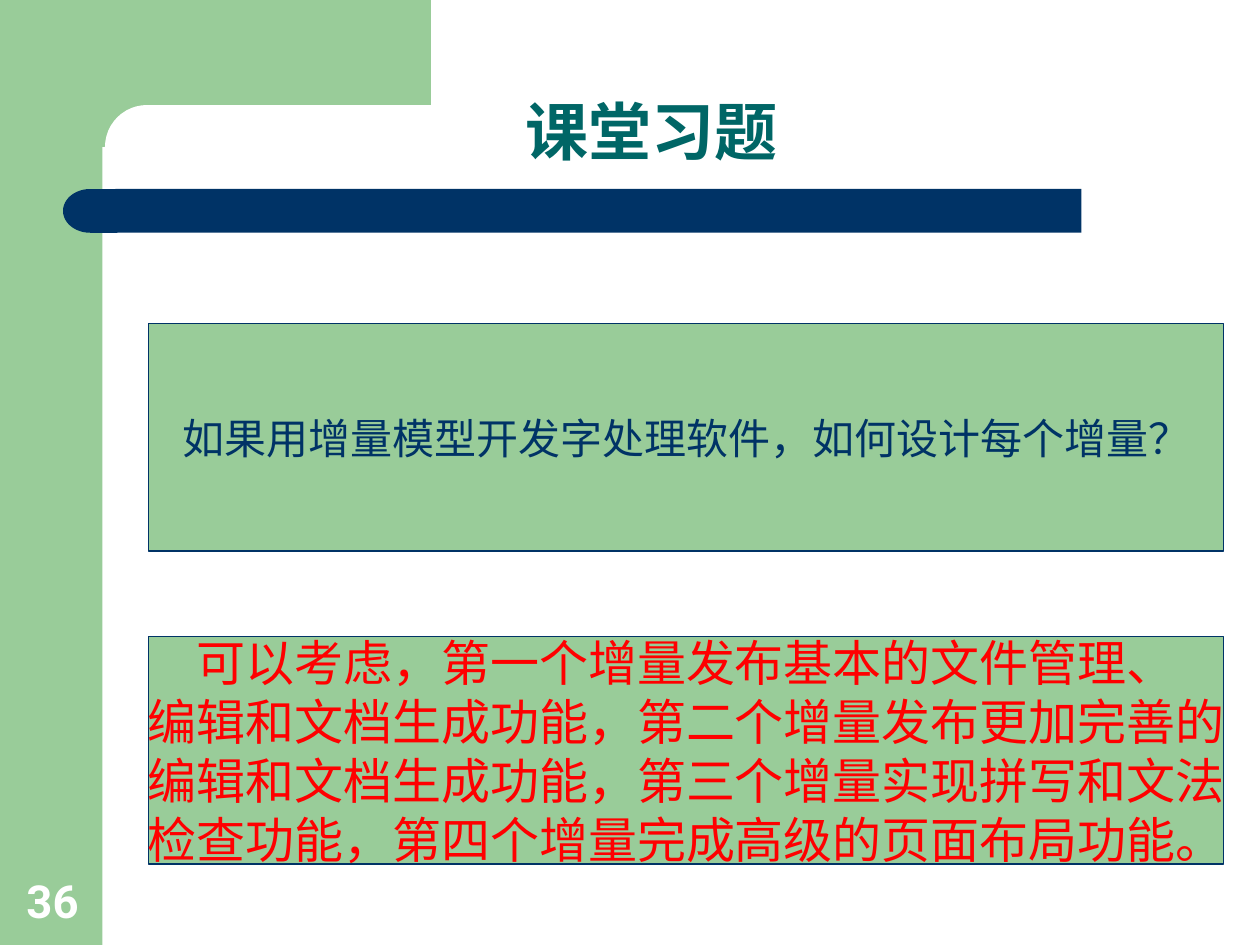
from pptx import Presentation, util as u
from pptx.dml.color import RGBColor
from pptx.enum import shapes, text

GREEN = RGBColor(0x99, 0xCC, 0x99)
NAVY = RGBColor(0x00, 0x33, 0x66)
TEAL = RGBColor(0x00, 0x66, 0x66)
RED = RGBColor(0xFF, 0x00, 0x00)
WHITE = RGBColor(0xFF, 0xFF, 0xFF)

SHAPE = shapes.MSO_SHAPE
ALIGN = text.PP_ALIGN
ANCHOR = text.MSO_ANCHOR


class ExerciseSlide:
    """Holds the style and the current slide; lengths are in points."""

    margins = dict(margin_left=7.2, margin_right=7.2,
                   margin_top=3.6, margin_bottom=3.6)

    def __init__(self, slide):
        self.slide = slide

    def block(self, kind, place, fill, line=None, corner=None, turn=0):
        block = self.slide.shapes.add_shape(kind, *map(u.Pt, place))
        block.shadow.inherit = False
        block.fill.solid()
        block.fill.fore_color.rgb = fill
        block.rotation = turn
        if corner is not None:
            block.adjustments[0] = corner
        if line is None:
            block.line.fill.background()
        else:
            block.line.color.rgb = line
            block.line.width = u.Pt(0.75)
        return block

    def set_text(self, holder, lines, size, color, anchor, align=ALIGN.CENTER,
                 font="Arial", bold=False, wrap=False, spacing=1.0):
        frame = holder.text_frame
        frame_format = dict(word_wrap=wrap, vertical_anchor=anchor)
        for side, width in self.margins.items():
            frame_format[side] = u.Pt(width)
        for key, value in frame_format.items():
            setattr(frame, key, value)
        font_format = dict(name=font, size=u.Pt(size), bold=bold)
        for number, line in enumerate(lines):
            paragraph = frame.add_paragraph() if number else frame.paragraphs[0]
            paragraph.alignment = align
            paragraph.line_spacing = spacing
            run = paragraph.add_run()
            run.text = line
            for key, value in font_format.items():
                setattr(run.font, key, value)
            run.font.color.rgb = color

    def label(self, place, line, **style):
        label = self.slide.shapes.add_textbox(*map(u.Pt, place))
        self.set_text(label, [line], anchor=ANCHOR.BOTTOM, bold=True,
                      wrap=True, **style)

    def panel(self, place, lines, size, color):
        panel = self.block(SHAPE.RECTANGLE, place, GREEN, line=NAVY)
        self.set_text(panel, lines, size, color, ANCHOR.MIDDLE)


def main():
    deck = Presentation()
    deck.slide_width, deck.slide_height = u.Pt(720), u.Pt(540)
    page = ExerciseSlide(deck.slides.add_slide(deck.slide_layouts[6]))

    # Green frame with its rounded inner corner
    page.block(SHAPE.RECTANGLE, (0, 0, 58.5, 540), GREEN)
    page.block(SHAPE.RECTANGLE, (52.5, 0, 193.75, 84), GREEN)
    page.block(SHAPE.ROUNDED_RECTANGLE, (60, 60, 402, 48), WHITE, corner=0.5)

    # Navy bar under the title, with a round left end
    page.block(SHAPE.RECTANGLE, (66, 108, 552, 25), NAVY)
    page.block(SHAPE.FLOWCHART_DELAY, (36, 108, 31, 25), NAVY, turn=180)

    # Page number and title
    page.label((8, 491, 46, 42.5), "36", size=26, color=WHITE,
               font="Roboto", align=ALIGN.LEFT)
    page.label((57, 34, 630, 66), "课堂习题", size=36, color=TEAL, spacing=0.9)

    # Question and answer
    page.panel((85, 185, 614, 130),
               ["如果用增量模型开发字处理软件，如何设计每个增量？"], 24, NAVY)
    page.panel((85, 363.75, 614, 130),
               ["可以考虑，第一个增量发布基本的文件管理、",
                "编辑和文档生成功能，第二个增量发布更加完善的",
                "编辑和文档生成功能，第三个增量实现拼写和文法",
                "检查功能，第四个增量完成高级的页面布局功能。"], 28, RED)

    deck.save("out.pptx")


if __name__ == "__main__":
    main()
